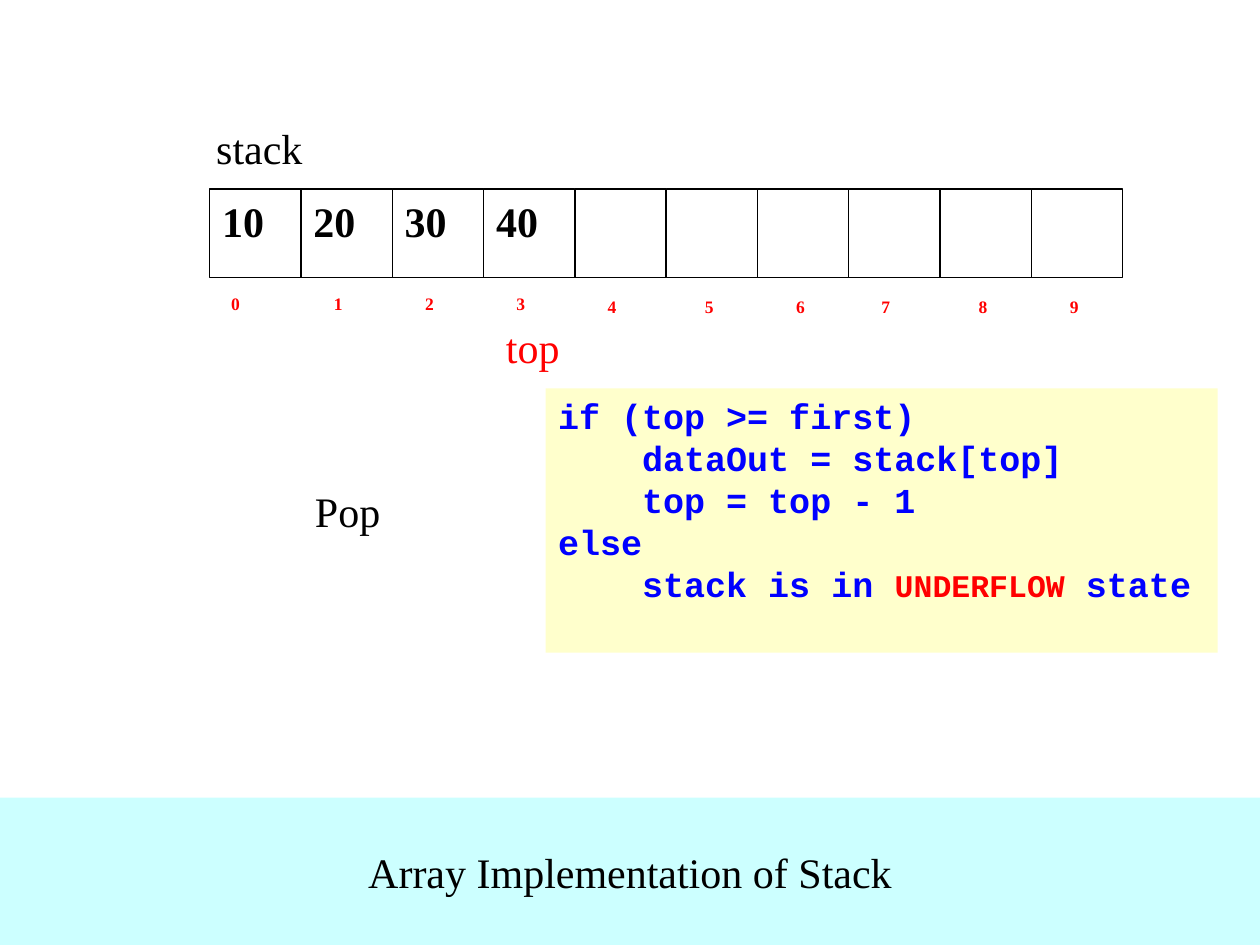
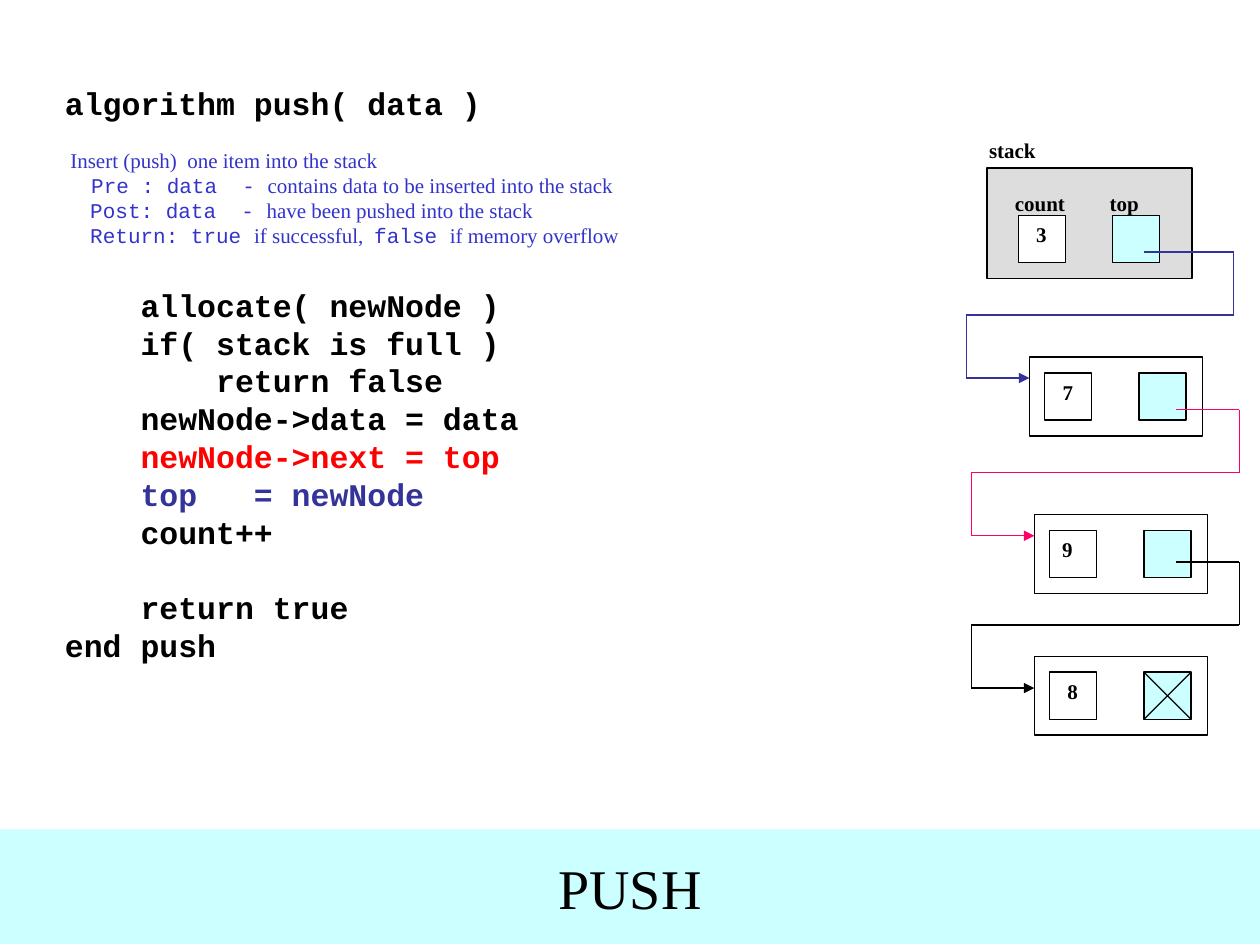
from dataclasses import dataclass, replace
from itertools import pairwise

from lxml.etree import SubElement
from pptx import Presentation
from pptx.dml.color import RGBColor
from pptx.enum.shapes import MSO_CONNECTOR, MSO_SHAPE
from pptx.enum.text import MSO_ANCHOR, MSO_AUTO_SIZE, PP_ALIGN
from pptx.oxml.ns import qn
from pptx.util import Cm, Pt


@dataclass(frozen=True)
class Style:
    """Look of a run of text."""
    size: int
    color: str = "000000"
    font: str = "Times New Roman"
    bold: bool = False


@dataclass(frozen=True)
class Theme:
    """Colours, type sizes and measures shared by the slides."""
    black: str = "000000"
    white: str = "FFFFFF"
    aqua: str = "CCFFFF"
    gray: str = "DDDDDD"
    cream: str = "FFFFCC"
    red: str = "FF0000"
    pink: str = "FF0066"
    indigo: str = "333399"
    outline: float = 0.75
    leading: float = 1.2
    inset: float = 0.25
    label: Style = Style(24)
    index: Style = Style(10, "FF0000", bold=True)
    code: Style = Style(20, "0000FF", "Courier New", True)
    algorithm: Style = Style(18, font="Courier New", bold=True)
    remark: Style = Style(12, "3333CC")
    remark_code: Style = Style(12, "3333CC", "Courier New")
    node: Style = Style(12, bold=True)


THEME = Theme()
SQUARE = 0.95
POINTER_OFFSET = 1.9


def apply_format(target, values):
    """Set every attribute named in values on target."""
    for attribute, value in values.items():
        setattr(target, attribute, value)


def write_line(paragraph, runs, before=0, indent=0):
    """Write (text, style) runs into a paragraph with fixed leading."""
    paragraph._p.get_or_add_pPr().set("marL", str(Cm(indent)))
    tallest = max(style.size for _, style in runs)
    apply_format(paragraph, {"line_spacing": Pt(tallest * THEME.leading), "space_before": Pt(before)})
    for text, style in runs:
        run = paragraph.add_run()
        run.text = text
        apply_format(run.font, {"name": style.font, "size": Pt(style.size), "bold": style.bold})
        run.font.color.rgb = RGBColor.from_string(style.color)


def write_lines(shape, lines, left_inset=THEME.inset):
    """Fill a shape with lines, each a dict of write_line arguments."""
    frame = shape.text_frame
    apply_format(frame, {
        "word_wrap": True, "auto_size": MSO_AUTO_SIZE.NONE, "vertical_anchor": MSO_ANCHOR.TOP,
        "margin_left": Cm(left_inset), "margin_right": 0, "margin_top": Cm(0.13), "margin_bottom": Cm(0.13),
    })
    for number, line in enumerate(lines):
        paragraph = frame.add_paragraph() if number else frame.paragraphs[0]
        paragraph.alignment = PP_ALIGN.LEFT
        write_line(paragraph, **line)


def add_label(slide, bounds, text, style, left_inset=THEME.inset):
    """Add a one-line text box."""
    label = slide.shapes.add_textbox(*map(Cm, bounds))
    write_lines(label, [{"runs": [(text, style)]}], left_inset)


def add_box(slide, bounds, fill, outlined=True):
    """Add a filled rectangle, with or without an outline."""
    box = slide.shapes.add_shape(MSO_SHAPE.RECTANGLE, *map(Cm, bounds))
    box.shadow.inherit = False
    box.fill.solid()
    box.fill.fore_color.rgb = RGBColor.from_string(fill)
    if outlined:
        box.line.color.rgb = RGBColor.from_string(THEME.black)
        box.line.width = Pt(THEME.outline)
    else:
        box.line.fill.background()
    return box


def add_title_band(slide, top, height, text, style):
    """Turn the title placeholder into the band at the foot of the slide."""
    title = slide.shapes.title
    apply_format(title, {"left": 0, "top": Cm(top), "width": Cm(25.4), "height": Cm(height)})
    title.fill.solid()
    title.fill.fore_color.rgb = RGBColor.from_string(THEME.aqua)
    write_lines(title, [{"runs": [(text, style)]}])
    apply_format(title.text_frame, {"vertical_anchor": MSO_ANCHOR.MIDDLE, "margin_right": Cm(THEME.inset)})
    title.text_frame.paragraphs[0].alignment = PP_ALIGN.CENTER


def add_segment(slide, start, end, color, arrow=False):
    """Draw a straight line between two points, optionally with an arrowhead."""
    segment = slide.shapes.add_connector(MSO_CONNECTOR.STRAIGHT, *map(Cm, (*start, *end)))
    segment.line.color.rgb = RGBColor.from_string(color)
    segment.line.width = Pt(THEME.outline)
    if arrow:
        SubElement(segment.line._get_or_add_ln(), qn("a:tailEnd"), type="triangle")
    SubElement(segment._element.spPr, qn("a:effectLst"))


def add_link(slide, start, right, target, color):
    """Route a pointer around to the left side of the next node."""
    x, y = start
    step = 1.27
    turn = target - step
    route = [(x, y), (right, y), (right, y + step), (turn, y + step), (turn, y + 2 * step), (target, y + 2 * step)]
    segments = list(pairwise(route))
    for segment in segments:
        add_segment(slide, *segment, color, arrow=segment == segments[-1])


def add_fields(slide, left, top, value, shift=0.11):
    """Add a value square and the pointer square to its right."""
    data = add_box(slide, (left, top, SQUARE, SQUARE), THEME.white)
    write_lines(data, [{"runs": [(value, THEME.node)]}], THEME.inset + shift)
    add_box(slide, (left + POINTER_OFFSET, top, SQUARE, SQUARE), THEME.aqua)


def add_node(slide, left, top, value, shift=0.11):
    """Add a linked-list node."""
    add_box(slide, (left, top, 3.49, 1.59), THEME.white)
    add_fields(slide, left + 0.31, top + 0.32, value, shift)


def add_array(slide, left, top, values, index_places):
    """Add a row of array cells with their indexes underneath."""
    pitch = 1.84
    for index, (shift, drop) in enumerate(index_places):
        cell_left = left + index * pitch
        cell = add_box(slide, (cell_left, top, pitch, 1.78), THEME.white)
        if index < len(values):
            write_lines(cell, [{"runs": [(values[index], replace(THEME.label, bold=True))]}])
        add_label(slide, (cell_left + shift, top + drop, 1.04, 1.78), str(index), THEME.index, 0.43)


def build_array_slide(slide):
    """Show popping from a stack held in an array."""
    add_title_band(slide, 16.08, 2.97, "Array Implementation of Stack", THEME.label)
    add_label(slide, (4.11, 2.34, 2.24, 1.27), "stack", THEME.label)
    near, far = 0.23, 0.35
    high, low = 1.96, 2.03
    index_places = [(0, high)] + [(near, high)] * 3
    index_places += [(shift, low) for shift in (near, far, far, near, far, far)]
    add_array(slide, 4.23, 3.81, ["10", "20", "30", "40"], index_places)
    add_label(slide, (9.95, 6.35, 1.57, 1.27), "top", replace(THEME.label, color=THEME.red))
    pop_code = add_box(slide, (11, 7.83, 13.55, 5.33), THEME.cream, outlined=False)
    code_lines = ["if (top >= first)", "    dataOut = stack[top]", "    top = top - 1", "else"]
    underflow = [
        ("    stack is in ", THEME.code),
        ("UNDERFLOW", replace(THEME.code, size=18, color=THEME.red)),
        (" state", THEME.code),
    ]
    write_lines(pop_code, [{"runs": [(line, THEME.code)]} for line in code_lines] + [{"runs": underflow}])
    add_label(slide, (6.1, 9.65, 2.16, 1.27), "Pop", THEME.label)


def add_push_algorithm(slide):
    """Write the push algorithm with its header remarks."""
    code, prose, mono = THEME.algorithm, THEME.remark, THEME.remark_code
    body = [
        ("    allocate( newNode )", THEME.black),
        ("    if( stack is full )", THEME.black),
        ("        return false", THEME.black),
        ("    newNode->data = data", THEME.black),
        ("    newNode->next = top", THEME.red),
        ("    top   = newNode", THEME.indigo),
        ("    count++", THEME.black),
        ("    return true", THEME.black),
        ("end push", THEME.black),
    ]
    gaps = {"    allocate( newNode )": 21.6, "    return true": 21.6}
    lines = [
        {"runs": [("algorithm push( data )", code)]},
        {"runs": [("Insert (push)  one item into the stack", prose)], "before": 14.4, "indent": 0.11},
        {"runs": [("Pre : data  - ", mono), ("contains data to be inserted into the stack", prose)], "indent": 0.53},
        {"runs": [("Post: data  - ", mono), ("have been pushed into the stack", prose)], "indent": 0.51},
        {"runs": [("Return: true ", mono), ("if successful,  ", prose), ("false ", mono),
                  ("if memory overflow", prose)], "indent": 0.51},
    ]
    lines += [{"runs": [(text, replace(code, color=color))], "before": gaps.get(text, 0)} for text, color in body]
    algorithm = slide.shapes.add_textbox(Cm(1.06), Cm(1.57), Cm(16.08), Cm(11.94))
    write_lines(algorithm, lines)


def build_push_slide(slide):
    """Show pushing onto a stack held in a linked list."""
    add_title_band(slide, 16.72, 2.31, "PUSH", replace(THEME.label, size=32))
    add_label(slide, (19.69, 2.65, 1.9, 0.94), "stack", THEME.node)
    add_box(slide, (19.9, 3.39, 4.13, 2.22), THEME.gray)
    add_label(slide, (20.21, 3.71, 1.6, 0.95), "count", THEME.node)
    add_label(slide, (22.12, 3.71, 1.27, 0.95), "top", THEME.node)
    add_fields(slide, 20.53, 4.34, "3")

    first_left, next_left, last_top = 20.75, 20.85, 13.23
    add_node(slide, first_left, 7.2, "7")
    add_node(slide, next_left, 10.37, "9", shift=0)
    add_node(slide, next_left, last_top, "8")
    null_left, null_top = next_left + 0.31 + POINTER_OFFSET, last_top + 0.32
    null_right, null_bottom = null_left + SQUARE, null_top + SQUARE
    add_segment(slide, (null_right, null_top), (null_left, null_bottom), THEME.black)
    add_segment(slide, (null_left, null_top), (null_right, null_bottom), THEME.black)

    add_link(slide, (23.07, 5.08), 24.87, first_left, THEME.indigo)
    add_link(slide, (23.7, 8.26), 24.98, next_left, THEME.pink)
    add_link(slide, (23.7, 11.33), 24.98, next_left, THEME.black)
    add_push_algorithm(slide)


def main():
    """Build and save the presentation."""
    deck = Presentation()
    apply_format(deck, {"slide_width": Cm(25.4), "slide_height": Cm(19.05)})
    title_only = deck.slide_layouts[5]
    for build in (build_array_slide, build_push_slide):
        build(deck.slides.add_slide(title_only))
    deck.save("out.pptx")


if __name__ == "__main__":
    main()
